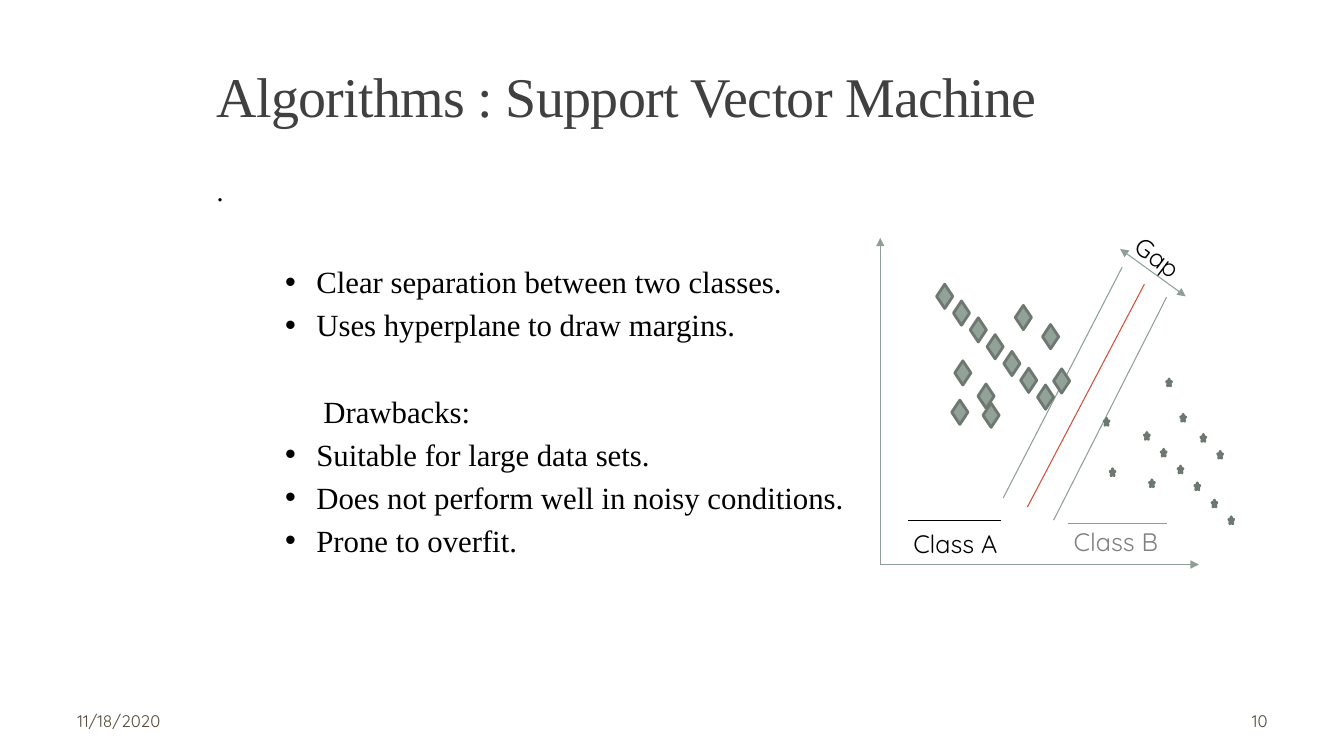
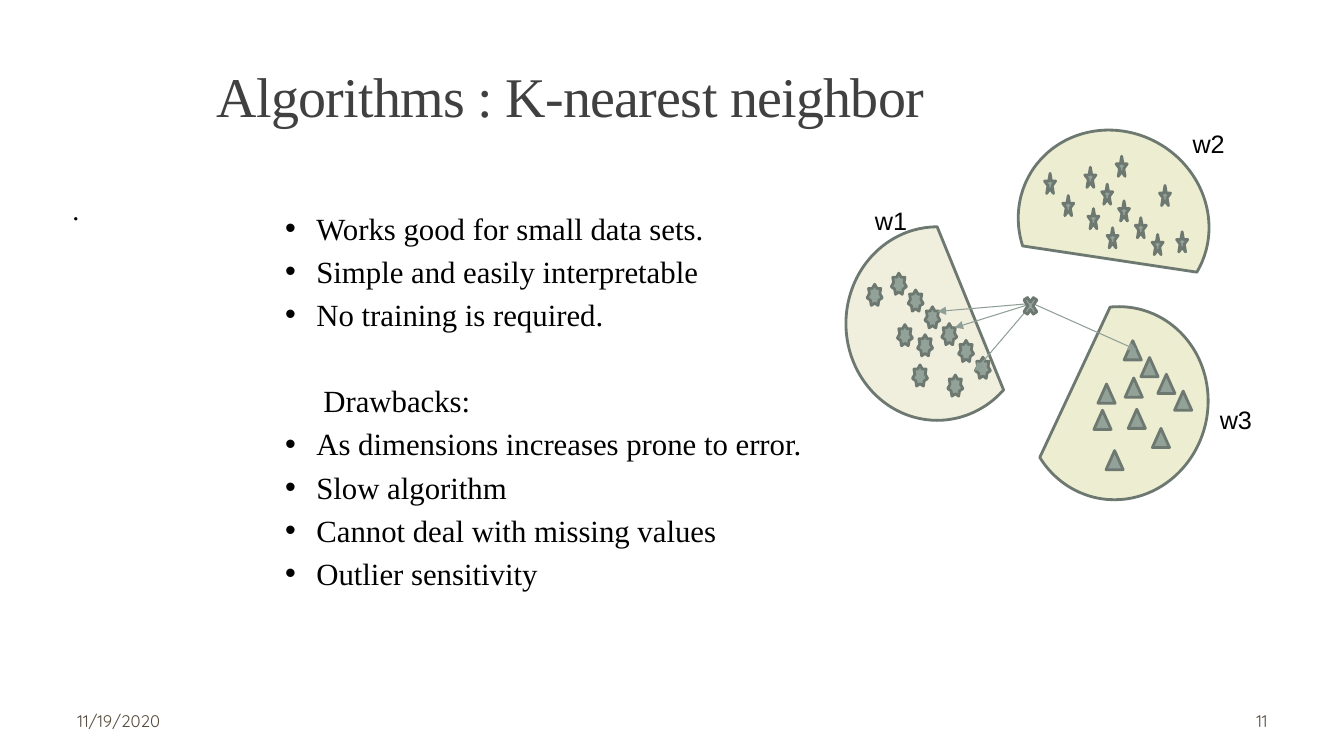
from lxml.etree import SubElement
from pptx import Presentation
from pptx.dml.color import RGBColor
from pptx.enum.shapes import MSO_CONNECTOR, MSO_SHAPE
from pptx.enum.text import MSO_ANCHOR, PP_ALIGN
from pptx.oxml.ns import qn
from pptx.util import Inches, Pt

COLORS = {
    "paper": "FFFFFF", "title": "404040", "text": "000000", "footer": "564B3C",
    "muted": "808080", "marker": "93A299", "outline": "6D7871", "line": "8F9F96",
    "hyperplane": "CE503A", "sand": "F0EFDD", "lime": "ECEDD1",
}
SERIF, ROUNDED, SANS = "Times New Roman", "Quicksand", "Arial"
DIAGONAL_STEP = 1 / 6
LINE_PITCH, BULLET_GAP = 30.8, 4.4


def rgb(color):
    return RGBColor.from_string(COLORS[color])


def style_runs(paragraph, font, size, color):
    for run in paragraph.runs:
        run.font.name = font
        run.font.size = Pt(size)
        run.font.color.rgb = rgb(color)


def add_label(slide, box, text, font, size, color="text"):
    label = slide.shapes.add_textbox(*map(Inches, box))
    label.text_frame.word_wrap = True
    label.text_frame.text = text
    style_runs(label.text_frame.paragraphs[0], font, size, color)
    return label


def add_figure(slide, preset, box, fill="marker", outline="outline"):
    figure = slide.shapes.add_shape(preset, *map(Inches, box))
    figure.shadow.inherit = False
    figure.fill.solid()
    figure.fill.fore_color.rgb = rgb(fill)
    if outline:
        figure.line.color.rgb = rgb(outline)
        figure.line.width = Pt(2)
    else:
        figure.line.fill.background()
    return figure


def add_line(slide, origin, start, end, color="line", arrows=()):
    left, top = origin
    line = slide.shapes.add_connector(
        MSO_CONNECTOR.STRAIGHT,
        Inches(left + start[0]), Inches(top + start[1]),
        Inches(left + end[0]), Inches(top + end[1]))
    line.line.color.rgb = rgb(color)
    line.line.width = Pt(0.75)
    outline = line.line._get_or_add_ln()
    for arrow in arrows:
        SubElement(outline, qn(f"a:{arrow}"), type="triangle")
    SubElement(line._element.spPr, qn("a:effectLst"))


def diagonal(left, top, count):
    return [(left + i * DIAGONAL_STEP, top + i * DIAGONAL_STEP) for i in range(count)]


def add_markers(slide, origin, preset, size, places):
    for x, y in places:
        add_figure(slide, preset, (origin[0] + x, origin[1] + y, *size))


def add_frame(slide, title, date, number):
    page = add_figure(slide, MSO_SHAPE.ROUNDED_RECTANGLE,
                      (0.13, 0.11, 13.07, 7.29), "paper", None)
    page.adjustments[0] = 0.017
    for left, text, align in ((0.67, date, PP_ALIGN.LEFT), (9.56, number, PP_ALIGN.RIGHT)):
        footer = add_label(slide, (left, 6.95, 3.11, 0.4), text, ROUNDED, 12, "footer")
        footer.text_frame.vertical_anchor = MSO_ANCHOR.MIDDLE
        footer.text_frame.paragraphs[0].alignment = align
    heading = add_label(slide, (2.05, 0.66, 11.28, 1.59), title, SERIF, 40, "title")
    paragraph = heading.text_frame.paragraphs[0]
    paragraph.line_spacing = 0.85
    paragraph.runs[0].font._element.set("spc", "-50")


def add_points(slide, box, strengths, drawbacks):
    points = slide.shapes.add_textbox(*map(Inches, box))
    frame = points.text_frame
    frame.word_wrap = True
    frame.margin_top = Inches(0.41)
    heading = "Drawbacks:"
    for i, text in enumerate([*strengths, heading, *drawbacks]):
        paragraph = frame.add_paragraph() if i else frame.paragraphs[0]
        paragraph.text = text
        style_runs(paragraph, SERIF, 22, "text")
        properties = paragraph._p.get_or_add_pPr()
        if text == heading:
            paragraph.space_before = Pt(BULLET_GAP + LINE_PITCH)
            properties.set("marL", str(Inches(0.38)))
            continue
        paragraph.space_before = Pt(BULLET_GAP if i else 0)
        properties.set("marL", str(Inches(0.31)))
        properties.set("indent", str(-Inches(0.31)))
        SubElement(properties, qn("a:buFont"), typeface=SANS)
        SubElement(properties, qn("a:buChar"), char="•")


def add_margin_plot(slide, origin):
    left, top = origin
    corner = (0, 3.24)
    for end in ((0, 0), (3.16, 3.24)):
        add_line(slide, origin, corner, end, arrows=["tailEnd"])
    classes = (
        ("Class A", (0.23, 2.83), (0.28, 2.8), (1.2, 2.8), "text", "text"),
        ("Class B", (1.82, 2.81), (1.86, 2.83), (2.84, 2.83), "line", "muted"),
    )
    for name, (x, y), start, end, rule_color, name_color in classes:
        add_line(slide, origin, start, end, rule_color)
        add_label(slide, (left + x, top + y, 1.14, 0.4), name, ROUNDED, 18, name_color)
    boundaries = (
        ((1.46, 2.67), (2.62, 0.46), "hyperplane"),
        ((1.22, 2.58), (2.4, 0.29), "line"),
        ((1.72, 2.8), (2.84, 0.59), "line"),
    )
    for start, end, color in boundaries:
        add_line(slide, origin, start, end, color)
    add_line(slide, origin, (2.38, 0.11), (3.03, 0.58), arrows=["headEnd", "tailEnd"])
    gap = add_label(slide, (left + 2.39, top + 0.06, 0.91, 0.4), "Gap", ROUNDED, 18)
    gap.rotation = 36.8
    class_b = diagonal(2.62, 1.93, 4) + diagonal(3.18, 1.95, 2) + diagonal(3.29, 2.6, 2) + [
        (2.84, 1.4), (2.67, 2.4), (2.98, 1.75), (2.28, 2.29), (2.22, 1.79)]
    add_markers(slide, origin, MSO_SHAPE.STAR_5_POINT, (0.05, 0.07), class_b)
    class_a = diagonal(0.56, 0.46, 7) + [
        (1.72, 1.3), (0.74, 1.22), (0.97, 1.45), (1.02, 1.64),
        (0.71, 1.61), (1.34, 0.67), (1.61, 0.86)]
    add_markers(slide, origin, MSO_SHAPE.DIAMOND, (0.16, 0.24), class_a)


def add_neighbor_plot(slide, origin):
    left, top = origin
    regions = (
        (0, 1, 0, "sand", (27, 162)),
        (1.75, 0, 120.7, "lime", (27, 162)),
        (1.78, 1.79, 191.8, "lime", (44.58, 187.8)),
    )
    for x, y, rotation, fill, angles in regions:
        region = add_figure(slide, MSO_SHAPE.CHORD, (left + x, top + y, 1.81, 1.92), fill)
        region.rotation = rotation
        region.adjustments[0], region.adjustments[1] = angles
    clusters = (
        (MSO_SHAPE.STAR_7_POINT, (0.15, 0.21), diagonal(0.45, 1.46, 6) + [
            (0.66, 2.37), (0.51, 1.97), (1.01, 2.47), (0.21, 1.57), (0.71, 2.07)]),
        (MSO_SHAPE.STAR_5_POINT, (0.11, 0.2), diagonal(2.37, 0.41, 5) + [
            (3.11, 0.59), (3.28, 1.05), (2.4, 0.82), (2.59, 1.01),
            (2.15, 0.69), (1.97, 0.47), (2.68, 0.3)]),
        (MSO_SHAPE.ISOSCELES_TRIANGLE, (0.17, 0.19), diagonal(2.76, 2.13, 4) + [
            (2.5, 2.56), (2.46, 2.82), (2.8, 2.81), (2.77, 2.5), (3.04, 3), (2.58, 3.22)]),
    )
    for preset, size, places in clusters:
        add_markers(slide, origin, preset, size, places)
    for name, x, y in (("w1", 0.19, 0.74), ("w2", 3.34, -0.03), ("w3", 3.61, 2.71)):
        add_label(slide, (left + x, top + y, 0.73, 0.4), name, SANS, 18)
    for neighbor in ((0.91, 1.84), (2.88, 2.22), (1.08, 2), (1.28, 2.43)):
        add_line(slide, origin, (1.85, 1.76), neighbor, arrows=["tailEnd"])
    add_markers(slide, origin, MSO_SHAPE.MATH_MULTIPLY, (0.18, 0.27), [(1.74, 1.65)])


def add_algorithm_slide(deck, title, date, number, dot, points_top,
                        strengths, drawbacks, add_plot, plot_origin):
    slide = deck.slides.add_slide(deck.slide_layouts[6])
    add_frame(slide, title, date, number)
    add_label(slide, (*dot, 10.15, 3.6), ".", SERIF, 20)
    add_points(slide, (2.73, points_top, 8.66, 3.6), strengths, drawbacks)
    add_plot(slide, plot_origin)


def main():
    deck = Presentation()
    deck.slide_width, deck.slide_height = Inches(13.33), Inches(7.5)
    add_algorithm_slide(
        deck, "Algorithms : Support Vector Machine", "11/18/2020", "10", (2.05, 1.67), 2.2,
        ["Clear separation between two classes.", "Uses hyperplane to draw margins."],
        ["Suitable for large data sets.", "Does not perform well in noisy conditions.",
         "Prone to overfit."],
        add_margin_plot, (8.73, 2.36))
    add_algorithm_slide(
        deck, "Algorithms : K-nearest neighbor", "11/19/2020", "11", (0.62, 1.86), 1.67,
        ["Works good for small data sets.", "Simple and easily interpretable",
         "No training is required."],
        ["As dimensions increases prone to error.", "Slow algorithm",
         "Cannot deal with missing values", "Outlier sensitivity"],
        add_neighbor_plot, (8.39, 1.25))
    deck.save("out.pptx")


if __name__ == "__main__":
    main()
